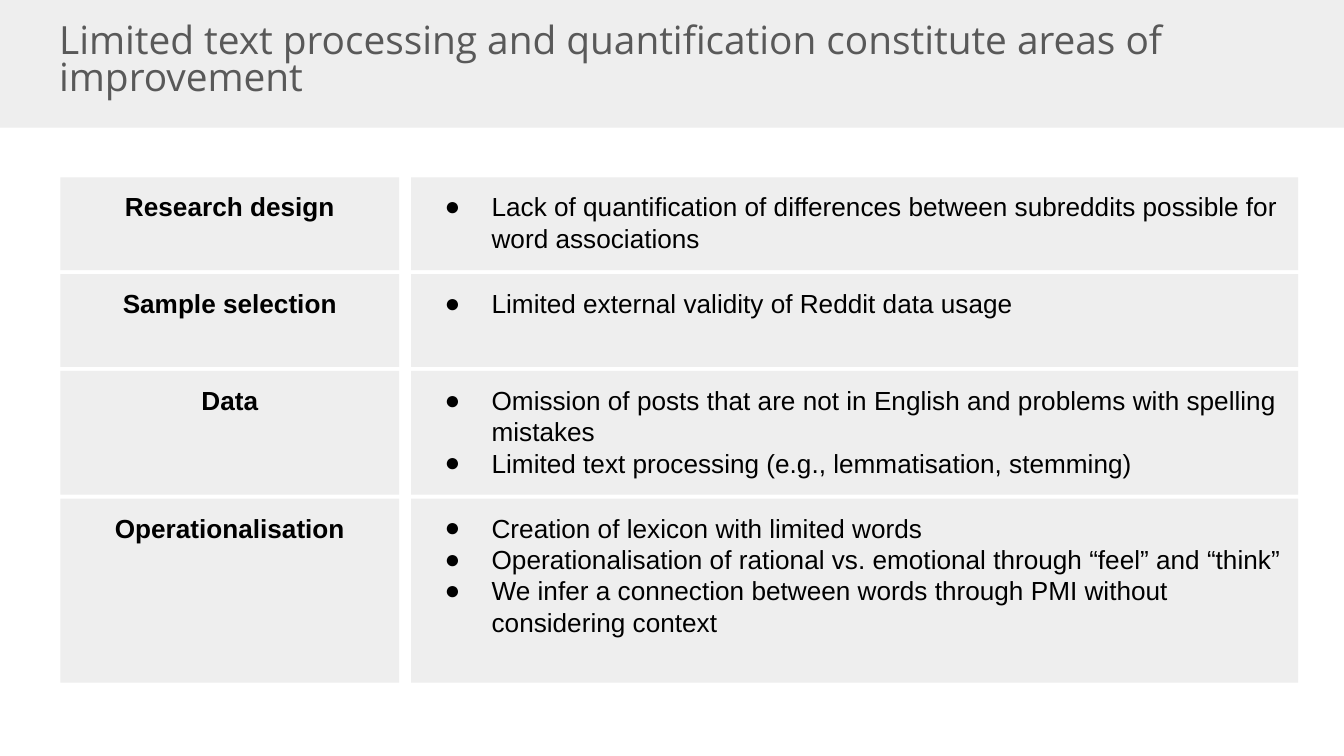
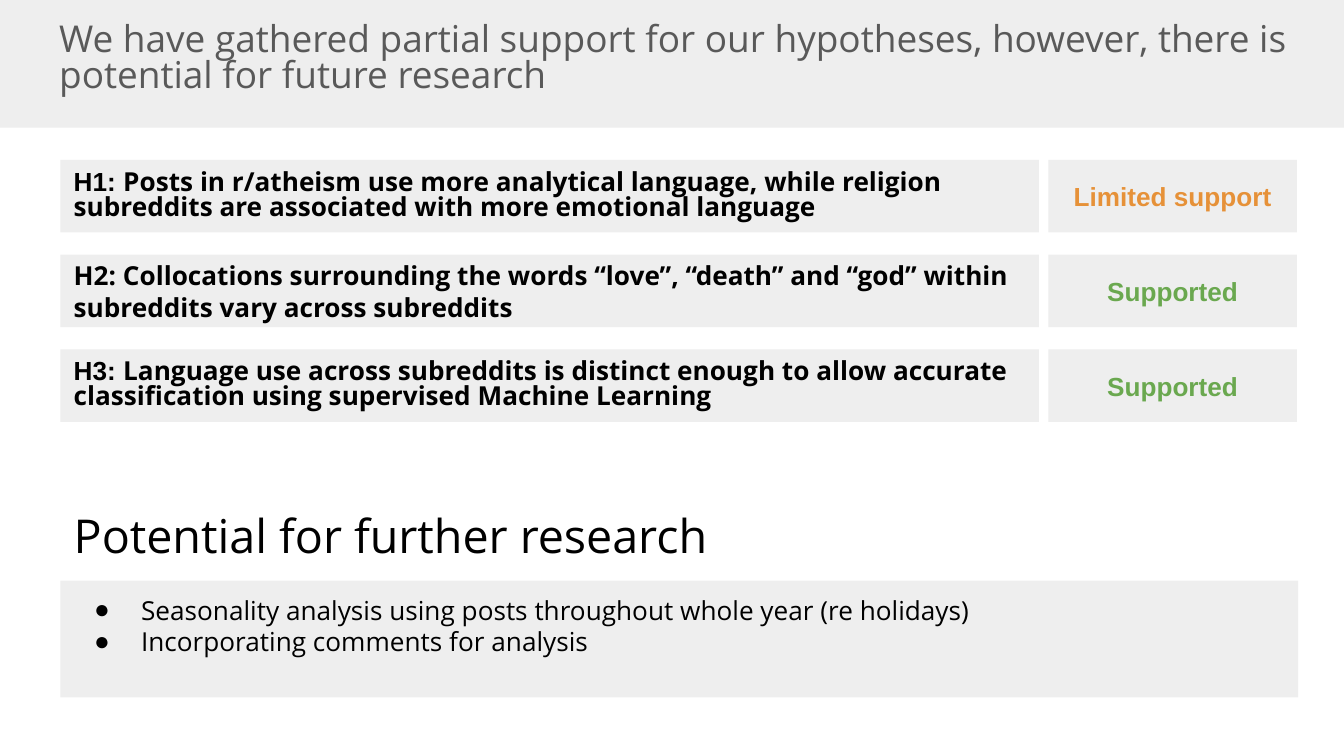
from lxml import etree
from pptx import Presentation
from pptx.dml.color import RGBColor
from pptx.enum.shapes import MSO_SHAPE
from pptx.enum.text import MSO_ANCHOR, MSO_AUTO_SIZE, PP_ALIGN
from pptx.oxml.ns import qn
from pptx.util import Inches, Pt

RECT = MSO_SHAPE.RECTANGLE
TOP, MIDDLE = MSO_ANCHOR.TOP, MSO_ANCHOR.MIDDLE
LEFT, CENTER = PP_ALIGN.LEFT, PP_ALIGN.CENTER
NO_FIT = MSO_AUTO_SIZE.NONE
SANS, OPEN = "Arial", "Open Sans"
INK = {"panel": "EEEEEE", "title": "595959", "text": "000000",
       "limited": "E69138", "full": "6AA84F"}
EDGE = 0.45


def panel(slide, x, y, w, h):
    box = slide.shapes.add_shape(RECT, Inches(x), Inches(y), Inches(w), Inches(h))
    box.shadow.inherit = False
    box.fill.solid()
    box.fill.fore_color.rgb = RGBColor.from_string(INK["panel"])
    box.line.fill.background()
    return box


def write(box, lines, size=14, font=SANS, ink="text", bold=False,
          align=LEFT, anchor=TOP, lead=1.0, after=0, bullet=False):
    frame = box.text_frame
    frame.word_wrap = True
    frame.auto_size = NO_FIT
    frame.vertical_anchor = anchor
    frame.margin_left = frame.margin_right = Inches(0.1)
    frame.margin_top = frame.margin_bottom = Inches(0.1)
    for i, line in enumerate(lines):
        para = frame.paragraphs[0] if i == 0 else frame.add_paragraph()
        para.alignment = align
        para.line_spacing = lead
        para.space_before = Pt(0)
        para.space_after = Pt(after)
        for text, face in line if isinstance(line, list) else [(line, font)]:
            run = para.add_run()
            run.text = text
            run.font.name = face
            run.font.size = Pt(size)
            run.font.bold = bold
            run.font.color.rgb = RGBColor.from_string(INK[ink])
        if bullet:
            props = para._p.get_or_add_pPr()
            props.set("marL", str(Inches(0.5)))
            props.set("indent", str(Inches(-0.35)))
            tint = etree.SubElement(props, qn("a:buClr"))
            etree.SubElement(tint, qn("a:srgbClr"), val=INK["text"])
            etree.SubElement(props, qn("a:buFont"), typeface=SANS)
            etree.SubElement(props, qn("a:buChar"), char="●")


deck = Presentation()
deck.slide_width = Inches(10)
deck.slide_height = deck.slide_width * 9 // 16

heads = [
    (5, 20.8, "Limited text processing and quantification constitute areas of improvement"),
    (1, 19.8, "We have gathered partial support for our hypotheses, however, "
              "there is potential for future research"),
]
for layout, size, text in heads:
    slide = deck.slides.add_slide(deck.slide_layouts[layout])
    panel(slide, -0.07, -0.07, 10.07, 1.02)
    title = slide.shapes.title
    title.left, title.top = Inches(0.34), Inches(0.08)
    title.width, title.height = Inches(9.46), Inches(0.87)
    write(title, [text], size, OPEN, "title", lead=0.8, after=12)
    slide.shapes._spTree.append(title._element)

limits, results = deck.slides

rows = [
    ("Research design", 0.69, [
        "Lack of quantification of differences between subreddits possible for word associations"]),
    ("Sample selection", 0.69, ["Limited external validity of Reddit data usage"]),
    ("Data", 0.92, [
        "Omission of posts that are not in English and problems with spelling mistakes",
        "Limited text processing (e.g., lemmatisation, stemming)"]),
    ("Operationalisation", 1.37, [
        "Creation of lexicon with limited words",
        "Operationalisation of rational vs. emotional through “feel” and “think”",
        "We infer a connection between words through PMI without considering context"]),
]
top = 1.32
for label, high, points in rows:
    write(panel(limits, EDGE, top, 2.52, high), [label], bold=True, align=CENTER)
    write(panel(limits, 3.06, top, 6.6, high), points, bullet=True)
    top += high + 0.03

claims = [
    ([("H1: ", SANS),
      ("Posts in r/atheism use more analytical language, while religion subreddits "
       "are associated with more emotional language", OPEN)],
     0.8, "Limited support", "limited"),
    ([("H2: Collocations surrounding the words “love”, “death” and “god” within "
       "subreddits vary across subreddits", OPEN)],
     1.0, "Supported", "full"),
    ([("H3: ", SANS),
      ("Language use across subreddits is distinct enough to allow accurate "
       "classification using supervised Machine Learning", OPEN)],
     0.8, "Supported", "full"),
]
for i, (claim, lead, verdict, ink) in enumerate(claims):
    top = 1.19 + i * 1.41 / 2
    write(panel(results, EDGE, top, 7.28, 0.54), [claim], bold=True,
          anchor=MIDDLE, lead=lead)
    write(panel(results, 7.8, top, 1.85, 0.54), [verdict], ink=ink, bold=True,
          align=CENTER, anchor=MIDDLE)

label = results.shapes.add_textbox(Inches(EDGE), Inches(3.67), Inches(7.81), Inches(0.62))
write(label, ["Potential for further research"], 25, OPEN)

ideas = results.placeholders[1]
ideas.left, ideas.top = Inches(EDGE), Inches(4.32)
ideas.width, ideas.height = Inches(9.21), Inches(0.87)
ideas.fill.solid()
ideas.fill.fore_color.rgb = RGBColor.from_string(INK["panel"])
write(ideas, ["Seasonality analysis using posts throughout whole year (re holidays)",
              "Incorporating comments for analysis"], font=OPEN, bullet=True)

deck.save("out.pptx")
